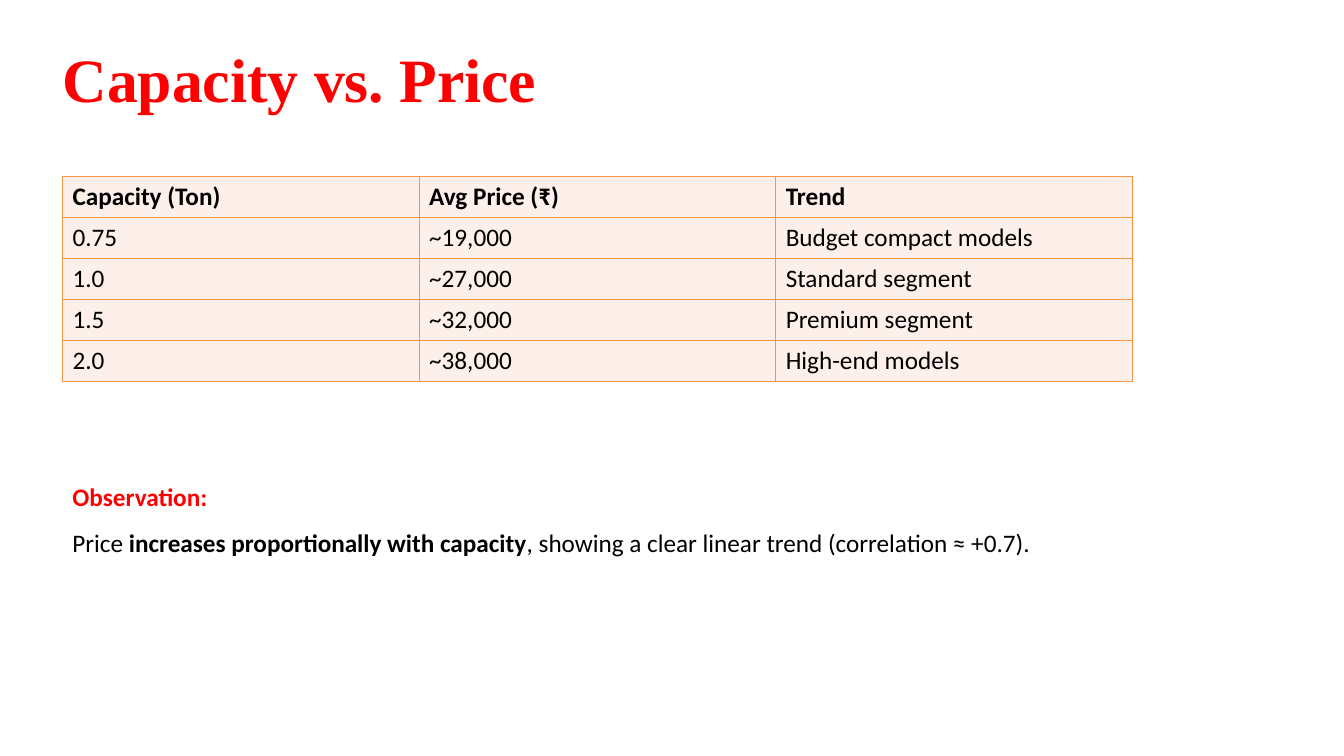
import pptx
import pptx.util
import pptx.dml.color
import pptx.enum.text
import pptx.oxml.ns
import lxml.etree

Inches = pptx.util.Inches


def rgb(value):
    return pptx.dml.color.RGBColor.from_string(value)


def add_run(p, text, size, color, bold, font="Calibri"):
    r = p.add_run()
    r.text = text
    r.font.name = font
    r.font.size = pptx.util.Pt(size)
    r.font.bold = bold
    r.font.color.rgb = rgb(color)


prs = pptx.Presentation()
prs.slide_width = Inches(13.33)
prs.slide_height = Inches(7.5)
s = prs.slides.add_slide(prs.slide_layouts[5])

title = s.shapes.title
title.left, title.top = Inches(0.62), Inches(0.41)
title.width, title.height = Inches(9.86), Inches(0.74)
tf = title.text_frame
tf.margin_left = tf.margin_right = tf.margin_top = tf.margin_bottom = 0
tf.vertical_anchor = pptx.enum.text.MSO_ANCHOR.TOP
p = tf.paragraphs[0]
p.alignment = pptx.enum.text.PP_ALIGN.LEFT
add_run(p, "Capacity vs. Price", 44, "FF0000", True, "Times New Roman")

rows = [
    ("Capacity (Ton)", "Avg Price (₹)", "Trend"),
    ("0.75", "~19,000", "Budget compact models"),
    ("1.0", "~27,000", "Standard segment"),
    ("1.5", "~32,000", "Premium segment"),
    ("2.0", "~38,000", "High-end models"),
]
row_height = 0.407
frame = s.shapes.add_table(
    len(rows), 3, Inches(0.62), Inches(1.75), Inches(10.61), Inches(row_height * len(rows))
)
table = frame.table
table.horz_banding = False
qn = pptx.oxml.ns.qn
for i, row in enumerate(rows):
    for j, text in enumerate(row):
        cell = table.cell(i, j)
        cell.vertical_anchor = pptx.enum.text.MSO_ANCHOR.MIDDLE
        add_run(cell.text_frame.paragraphs[0], text, 18, "000000", i == 0)
        tcPr = cell._tc.get_or_add_tcPr()
        for side in ("a:lnL", "a:lnR", "a:lnT", "a:lnB"):
            ln = lxml.etree.SubElement(tcPr, qn(side), w="12700")
            fill = lxml.etree.SubElement(ln, qn("a:solidFill"))
            lxml.etree.SubElement(fill, qn("a:srgbClr"), val="F79646")
        cell.fill.solid()
        cell.fill.fore_color.rgb = rgb("FDEFE9")

sp = s.shapes.add_textbox(Inches(0.62), Inches(4.58), Inches(11.21), Inches(0.95))
tf = sp.text_frame
tf.word_wrap = True
p = tf.paragraphs[0]
p.line_spacing = 1.5
add_run(p, "Observation:", 18, "FF0000", True)
p.add_line_break()
add_run(p, "Price ", 18, "000000", False)
add_run(p, "increases proportionally with capacity", 18, "000000", True)
add_run(p, ", showing a clear linear trend (correlation ≈ +0.7).", 18, "000000", False)

prs.save("out.pptx")
